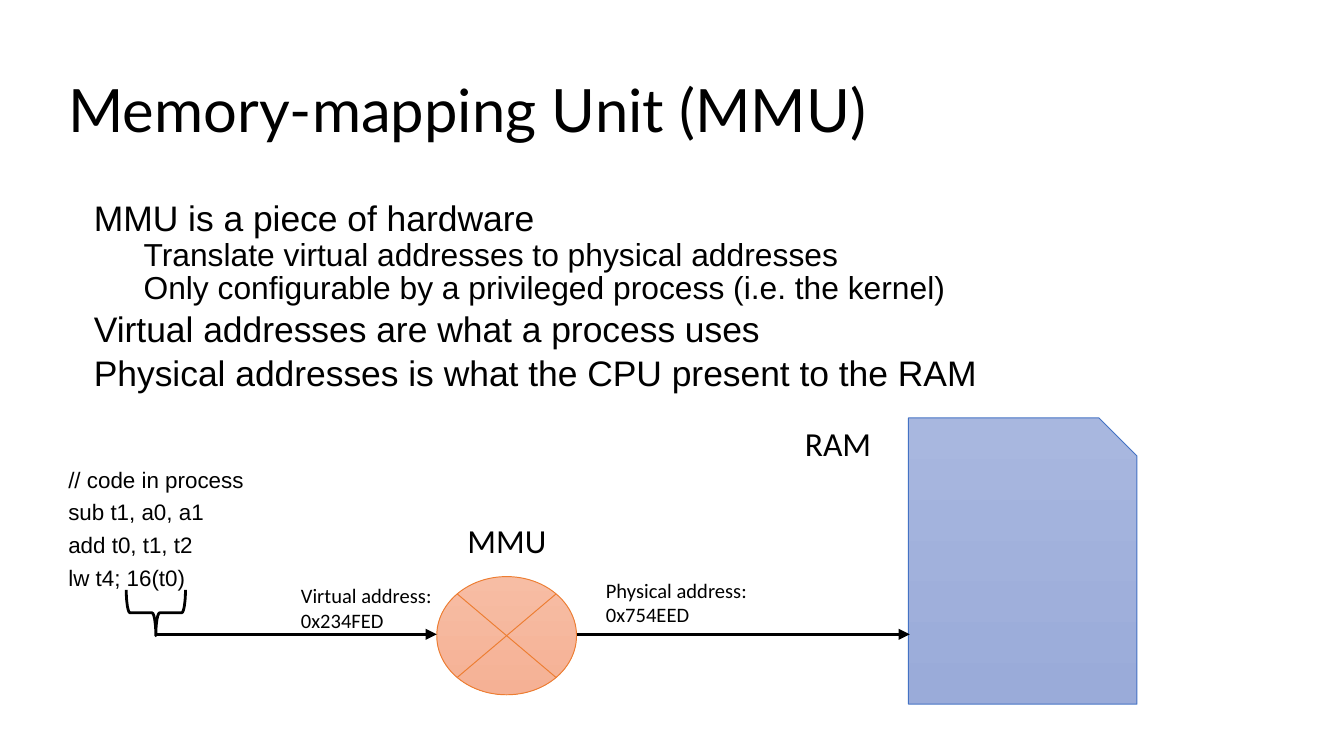
from pptx import Presentation
from pptx.dml.color import RGBColor
from pptx.enum.shapes import MSO_CONNECTOR, MSO_SHAPE
from pptx.enum.text import MSO_ANCHOR, MSO_AUTO_SIZE
from pptx.oxml.ns import qn
from pptx.util import Inches, Pt
from lxml import etree

BLACK = "000000"
AXIS_Y = 4.72  # height of the address arrows


def color(value):
    return RGBColor.from_string(value)


def add_text(frame, text, size=11, font="Calibri", fill=BLACK,
             spacing=None, before=0, indent=0):
    first = frame.paragraphs[0]
    para = first if not first.runs else frame.add_paragraph()
    para.space_before = Pt(before)
    if spacing:
        para.line_spacing = spacing
    if indent:
        para._p.get_or_add_pPr().set("marL", str(Inches(indent)))
    span = para.add_run()
    span.text = text
    span.font.size = Pt(size)
    span.font.name = font
    span.font.color.rgb = color(fill)


def add_box(page, left, top, width, height, wrap=True):
    box = page.shapes.add_textbox(
        Inches(left), Inches(top), Inches(width), Inches(height))
    box.text_frame.word_wrap = wrap
    return box.text_frame


def add_label(page, left, top, width, height, lines, size):
    frame = add_box(page, left, top, width, height, wrap=False)
    frame.auto_size = MSO_AUTO_SIZE.SHAPE_TO_FIT_TEXT
    for line in lines:
        add_text(frame, line, size=size)


def add_figure(page, kind, left, top, width, height, line, weight, gradient=None):
    shape = page.shapes.add_shape(
        kind, Inches(left), Inches(top), Inches(width), Inches(height))
    shape.shadow.inherit = False
    shape.line.color.rgb = color(line)
    shape.line.width = Pt(weight)
    if gradient:
        shape.fill.gradient()
        shape.fill.gradient_angle = 270
        for stop, value in zip(shape.fill.gradient_stops, gradient):
            stop.color.rgb = color(value)
    else:
        shape.fill.background()
    return shape


def add_arrow(page, start, end):
    arrow = page.shapes.add_connector(
        MSO_CONNECTOR.STRAIGHT,
        Inches(start), Inches(AXIS_Y), Inches(end), Inches(AXIS_Y))
    arrow.line.color.rgb = color(BLACK)
    arrow.line.width = Pt(1.5)
    etree.SubElement(arrow.line._get_or_add_ln(), qn("a:tailEnd"), type="triangle")
    etree.SubElement(arrow._element.spPr, qn("a:effectLst"))


def add_body(page):
    frame = add_box(page, 0.41, 1.5, 9.19, 3.16)
    points = [
        (0, "MMU is a piece of hardware"),
        (1, "Translate virtual addresses to physical addresses"),
        (1, "Only configurable by a privileged process (i.e. the kernel)"),
        (0, "Virtual addresses are what a process uses"),
        (0, "Physical addresses is what the CPU present to the RAM"),
    ]
    levels = [dict(size=19, before=7.5, indent=0.19),
              dict(size=17, before=3.7, indent=0.56)]
    for index, (level, text) in enumerate(points):
        style = dict(levels[level])
        if index == 0:
            style["before"] = 0
        add_text(frame, text, font="Arial", spacing=0.7, **style)

    # Code listing, set well below the points
    code = ["// code in process", "sub t1, a0, a1", "add t0, t1, t2", "lw t4; 16(t0)"]
    for index, text in enumerate(code):
        add_text(frame, text, size=12, font="Arial", spacing=0.7,
                 before=7.5 if index else 43)


def add_diagram(page):
    # Brace under the operand, MMU and RAM
    brace = add_figure(page, MSO_SHAPE.LEFT_BRACE, 0.99, 4.34, 0.34, 0.44, BLACK, 1.5)
    brace.rotation = 270
    add_figure(page, MSO_SHAPE.FLOWCHART_SUMMING_JUNCTION, 3.25, 4.29, 1.04, 0.88,
               "ED7D31", 0.5, ("F7BDA4", "F5B195"))
    add_figure(page, MSO_SHAPE.SNIP_1_RECTANGLE, 6.76, 3.11, 1.7, 2.13,
               "4472C4", 0.5, ("A8B7DF", "9AABD9"))

    # Address flow
    add_arrow(page, 1.17, 3.25)
    add_arrow(page, 4.29, 6.77)

    # Labels
    add_label(page, 3.38, 3.82, 0.79, 0.4, ["MMU"], 18)
    add_label(page, 5.89, 3.1, 0.7, 0.4, ["RAM"], 18)
    add_label(page, 2.14, 4.29, 1.18, 0.47, ["Virtual address:", "0x234FED"], 11)
    add_label(page, 4.41, 4.25, 1.26, 0.47, ["Physical address:", "0x754EED"], 11)


def main():
    deck = Presentation()
    deck.slide_width = Inches(10)
    deck.slide_height = Inches(10 * 9 / 16)  # widescreen
    page = deck.slides.add_slide(deck.slide_layouts[6])

    # Title
    title = add_box(page, 0.41, 0.3, 9.19, 1.09)
    title.vertical_anchor = MSO_ANCHOR.MIDDLE
    add_text(title, "Memory-mapping Unit (MMU)", size=32, font="Lato", spacing=0.9)

    add_body(page)
    add_diagram(page)
    deck.save("out.pptx")


if __name__ == "__main__":
    main()
